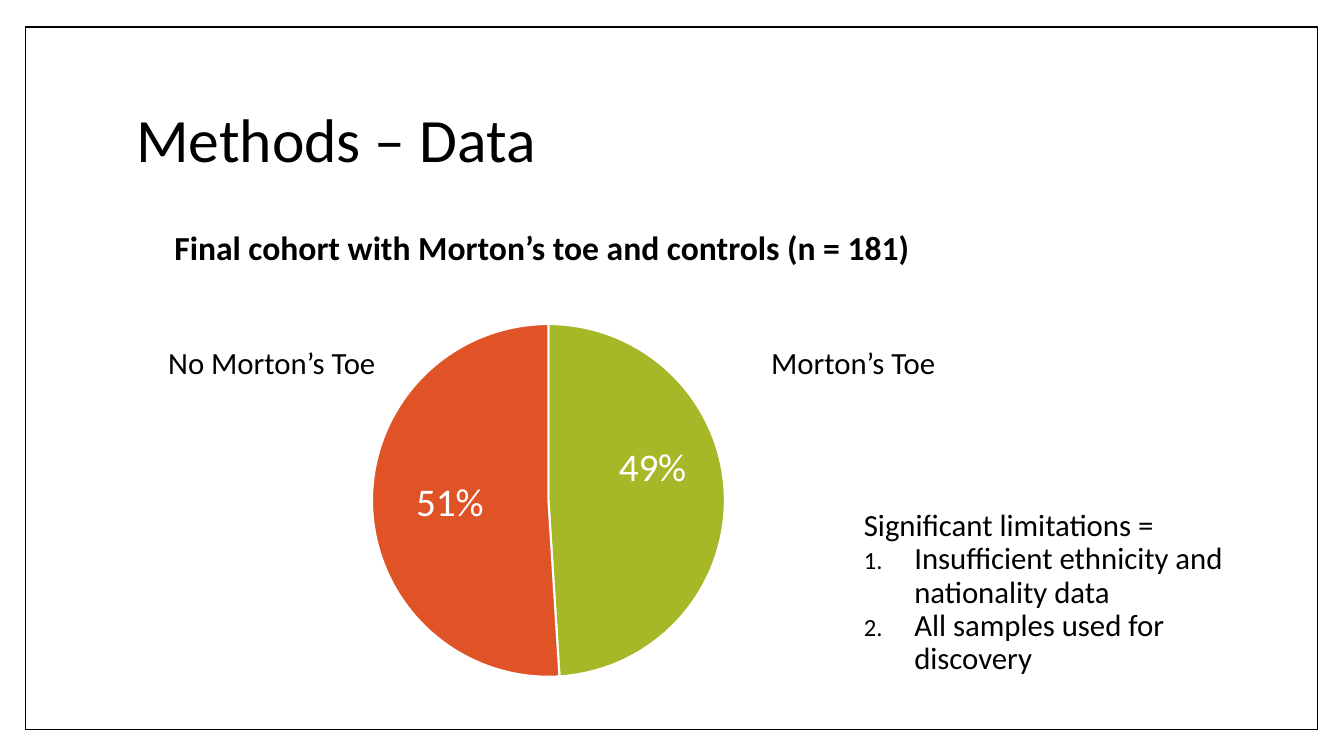
import copy
from dataclasses import dataclass

import pptx
import pptx.chart.data
import pptx.dml.color
import pptx.enum.chart
import pptx.enum.shapes
import pptx.enum.text
import pptx.oxml
import pptx.oxml.ns
import pptx.util
from pptx.util import Inches

FONT = "Calibri"
BLACK, WHITE = "000000", "FFFFFF"
NAMESPACE = pptx.oxml.ns.nsdecls


@dataclass
class Area:
    left: float
    top: float
    width: float
    height: float

    def lengths(self) -> tuple:
        return tuple(Inches(n) for n in (self.left, self.top, self.width, self.height))


@dataclass
class Line:
    text: str
    size: float = 22
    bold: bool = False
    margin: float = 0.05
    before: float = 0
    numbered: bool = False


@dataclass
class Slice:
    name: str
    value: float
    colour: str
    label_shift: tuple


def rgb(value: str) -> pptx.dml.color.RGBColor:
    return pptx.dml.color.RGBColor.from_string(value)


def format_font(font, size: float, colour: str, bold: bool = False) -> None:
    font.name, font.size, font.bold = FONT, pptx.util.Pt(size), bold
    font.color.rgb = rgb(colour)


def add_markup(parent, tag: str, **attributes):
    element = pptx.oxml.parse_xml(f"<a:{tag} {NAMESPACE('a')}/>")
    for name, value in attributes.items():
        element.set(name, str(value))
    parent.append(element)
    return element


def fill_text(box, area: Area, lines: list[Line], anchor=pptx.enum.text.MSO_ANCHOR.TOP) -> None:
    box.left, box.top, box.width, box.height = area.lengths()
    frame = box.text_frame
    frame.text = "\n".join(line.text for line in lines)
    frame.word_wrap = True
    frame.auto_size = pptx.enum.text.MSO_AUTO_SIZE.NONE
    frame.vertical_anchor = anchor
    for para, line in zip(frame.paragraphs, lines):
        para.alignment = pptx.enum.text.PP_ALIGN.LEFT
        para.line_spacing = 0.9
        para.space_before = pptx.util.Pt(line.before)
        for span in para.runs:
            format_font(span.font, line.size, BLACK, line.bold)
        properties = para._p.get_or_add_pPr()
        properties.set("marL", str(Inches(line.margin)))
        properties.set("indent", str(Inches(-0.5 if line.numbered else 0)))
        if line.numbered:
            add_markup(add_markup(properties, "buClr"), "srgbClr", val=BLACK)
            add_markup(properties, "buSzPct", val=80000)
            add_markup(properties, "buAutoNum", type="arabicPeriod")
        else:
            add_markup(properties, "buNone")


def add_frame(slide, area: Area) -> None:
    frame = slide.shapes.add_shape(pptx.enum.shapes.MSO_SHAPE.RECTANGLE, *area.lengths())
    frame.shadow.inherit = False
    frame.fill.solid()
    frame.fill.fore_color.rgb = rgb(WHITE)
    frame.line.color.rgb = rgb(BLACK)
    frame.line.width = pptx.util.Pt(1)
    slide.shapes._spTree.insert(2, frame._element)  # behind the placeholders


def add_pie(slide, area: Area, slices: list[Slice], diameter: float) -> None:
    data = pptx.chart.data.CategoryChartData()
    data.categories = [part.name for part in slices]
    data.add_series("Series 1", [part.value for part in slices])
    chart = slide.shapes.add_chart(
        pptx.enum.chart.XL_CHART_TYPE.PIE, *area.lengths(), data).chart
    chart.has_title = chart.has_legend = False
    format_font(chart.font, 10, BLACK)

    # Centre the pie in its area
    width, height = diameter / area.width, diameter / area.height
    sizes = {"x": (1 - width) / 2, "y": (1 - height) / 2, "w": width, "h": height}
    plot_area = chart._chartSpace.chart.plotArea
    for old in plot_area.findall(pptx.oxml.ns.qn("c:layout")):
        plot_area.remove(old)
    plot_area.insert(0, pptx.oxml.parse_xml(
        f'<c:layout {NAMESPACE("c")}><c:manualLayout><c:layoutTarget val="inner"/>'
        '<c:xMode val="edge"/><c:yMode val="edge"/>'
        + "".join(f'<c:{key} val="{size:.4f}"/>' for key, size in sizes.items())
        + "</c:manualLayout></c:layout>"))

    # Percent labels
    chart.plots[0].vary_by_categories = True
    series = chart.plots[0].series[0]
    labels = series.data_labels
    format_font(labels.font, 28, WHITE)
    labels.number_format, labels.number_format_is_linked = "0%", False
    labels.position = pptx.enum.chart.XL_LABEL_POSITION.CENTER
    labels.show_value, labels.show_percentage = False, True
    shared = [copy.deepcopy(child) for child in labels._element
              if not child.tag.endswith("showLeaderLines")]

    # Slice colours and label places
    for index, part in enumerate(slices):
        point = series.points[index].format
        point.fill.solid()
        point.fill.fore_color.rgb = rgb(part.colour)
        point.line.color.rgb = rgb(WHITE)
        point.line.width = pptx.util.Pt(1.5)
        x, y = part.label_shift
        label = pptx.oxml.parse_xml(
            f'<c:dLbl {NAMESPACE("c")}><c:idx val="{index}"/><c:layout><c:manualLayout>'
            f'<c:x val="{x}"/><c:y val="{y}"/></c:manualLayout></c:layout></c:dLbl>')
        label.extend(copy.deepcopy(shared))
        labels._element.insert(index, label)


def main() -> None:
    deck = pptx.Presentation()
    deck.slide_width, deck.slide_height = Inches(13.33), Inches(7.5)
    slide = deck.slides.add_slide(deck.slide_layouts[1])
    add_frame(slide, Area(0.25, 0.27, 12.82, 6.97))

    # Title and cohort heading
    fill_text(slide.shapes.title, Area(1.25, 0.67, 10.8, 1.48),
              [Line("Methods – Data", size=44, margin=0)],
              pptx.enum.text.MSO_ANCHOR.MIDDLE)
    fill_text(slide.placeholders[1], Area(1.2, 2.25, 10.8, 4.42),
              [Line("Final cohort with Morton’s toe and controls (n = 181)",
                    size=24, bold=True, margin=0.43, before=14)])

    # Cohort split
    add_pie(slide, Area(2.82, 2.55, 5.24, 4.83),
            [Slice("1", 49, "A6B727", (0.03, -0.06)),
             Slice("2", 51, "DF5327", (-0.02, 0))], diameter=3.5)

    # Slice names and limitations
    notes = [
        (Area(1.52, 3.4, 2.4, 0.68), [Line("No Morton’s Toe", before=14)]),
        (Area(7.5, 3.4, 2.2, 0.68), [Line("Morton’s Toe", before=14)]),
        (Area(8.42, 5.01, 3.97, 2.12),
         [Line("Significant limitations =")]
         + [Line(text, margin=0.55, numbered=True) for text in (
             "Insufficient ethnicity and nationality data",
             "All samples used for discovery")]),
    ]
    for area, lines in notes:
        fill_text(slide.shapes.add_textbox(*area.lengths()), area, lines)

    deck.save("out.pptx")


if __name__ == "__main__":
    main()
